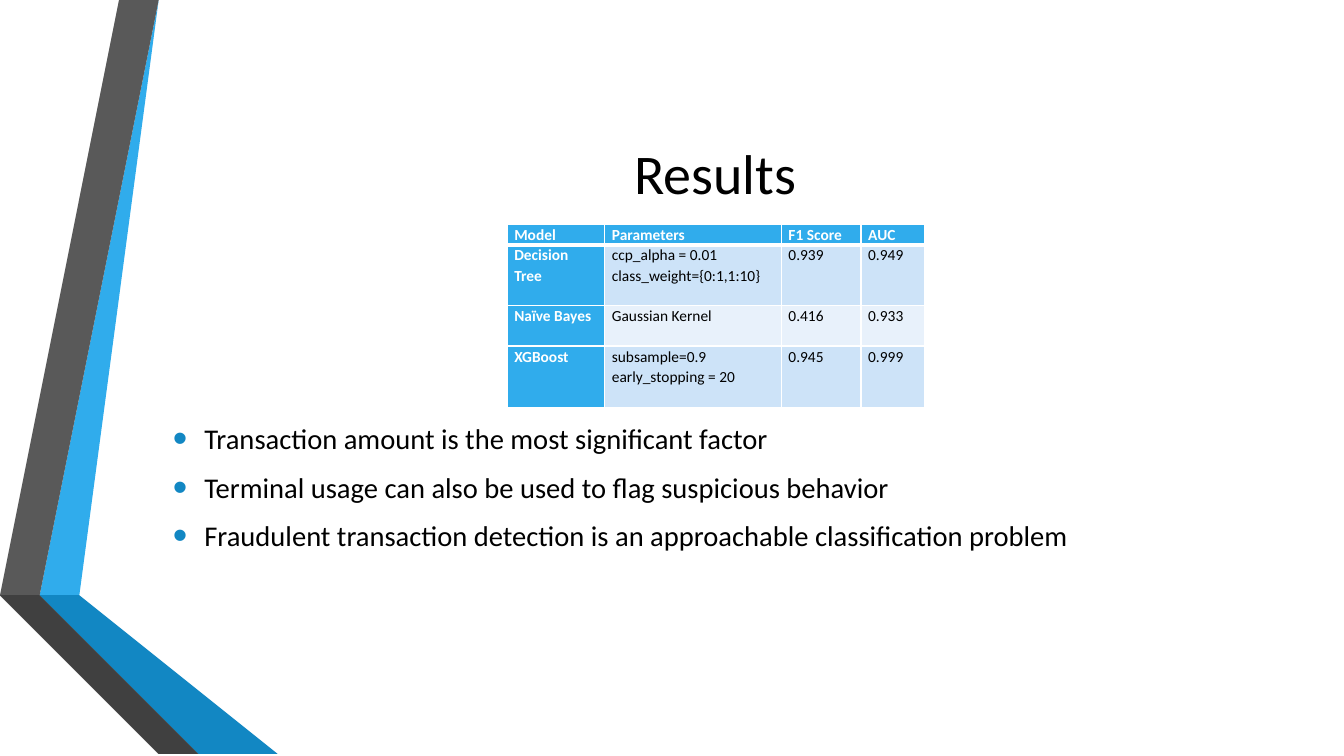
from collections import namedtuple

from lxml import etree
from pptx import Presentation
from pptx import util as u
from pptx.dml.color import RGBColor
from pptx.enum import text
from pptx.oxml import ns

Box = namedtuple("Box", "left top width height")

COLORS = {
    "white": "FFFFFF", "black": "000000", "sky": "30ACEC", "blue": "1287C3",
    "navy": "0C5A82", "gray": "595959", "charcoal": "404040", "coal": "262626",
    "band": "CDE3F8", "pale": "E8F1FB",
}

RIBBONS = [
    ("sky", [(1.27, 14.68), (1.96, 14.81), (4.39, 0), (3.68, 0)]),
    ("gray", [(3.53, 0), (2.82, 0), (0.41, 14.55), (1.12, 14.66)]),
    ("coal", [(0.41, 14.55), (3.68, 19.05), (3.84, 19.05)]),
    ("navy", [(1.27, 14.71), (5.28, 19.05), (5.44, 19.05)]),
    ("blue", [(1.27, 14.68), (5.44, 19.05), (7.19, 19.05), (1.96, 14.81)]),
    ("charcoal", [(5.13, 19.05), (1.12, 14.66), (0.41, 14.55), (3.84, 19.05)]),
]

RESULTS = [
    ["Model", "Parameters", "F1 Score", "AUC"],
    ["Decision Tree", "ccp_alpha = 0.01\nclass_weight={0:1,1:10}", "0.939", "0.949"],
    ["Naïve Bayes", "Gaussian Kernel", "0.416", "0.933"],
    ["XGBoost", "subsample=0.9\nearly_stopping = 20", "0.945", "0.999"],
]
COLUMN_WIDTHS = [2.46, 4.45, 2.01, 1.6]
ROW_HEIGHTS = [0.51, 1.53, 1.02, 1.54]

FINDINGS = [
    "Transaction amount is the most significant factor",
    "Terminal usage can also be used to flag suspicious behavior",
    "Fraudulent transaction detection is an approachable classification problem",
]


def rgb(name):
    """Return the named colour."""
    return RGBColor.from_string(COLORS[name])


def add_color(parent, tag, name):
    """Append an element that holds the named colour."""
    holder = etree.SubElement(parent, ns.qn(tag))
    etree.SubElement(holder, ns.qn("a:srgbClr"), val=COLORS[name])


def write_text(frame, content, size, color="black", bold=False, align=None,
               spacing=None, before=0, after=0):
    """Write one paragraph for each line of content."""
    frame.word_wrap = True
    for index, line in enumerate(content.split("\n")):
        para = frame.add_paragraph() if index else frame.paragraphs[0]
        para.alignment = align
        para.line_spacing = spacing
        para.space_before, para.space_after = u.Pt(before), u.Pt(after)
        span = para.add_run()
        span.text = line
        span.font.name, span.font.size, span.font.bold = "Calibri", u.Pt(size), bold
        span.font.color.rgb = rgb(color)


def add_text_box(page, box, content, **style):
    """Add a vertically centred text box and return its frame."""
    frame = page.shapes.add_textbox(*map(u.Cm, box)).text_frame
    frame.vertical_anchor = text.MSO_ANCHOR.MIDDLE
    write_text(frame, content, **style)
    return frame


def add_bullets(frame, color, percent, indent):
    """Give every paragraph a coloured bullet with a hanging indent."""
    for para in frame.paragraphs:
        props = para._p.get_or_add_pPr()
        props.set("marL", str(u.Cm(indent)))
        props.set("indent", str(-u.Cm(indent)))
        add_color(props, "a:buClr", color)
        etree.SubElement(props, ns.qn("a:buSzPct"), val=str(percent * 1000))
        etree.SubElement(props, ns.qn("a:buFont"), typeface="Arial")
        etree.SubElement(props, ns.qn("a:buChar"), char="•")


def add_borders(cell, **widths):
    """Draw white cell borders with the given widths in points."""
    props = cell._tc.get_or_add_tcPr()
    for side, width in widths.items():
        line = etree.SubElement(props, ns.qn("a:ln" + side), w=str(u.Pt(width)))
        add_color(line, "a:solidFill", "white")


def draw_ribbons(page, box):
    """Draw the folded ribbons along the left edge of the box."""
    for color, points in RIBBONS:
        corners = [(box.left + x, box.top + y) for x, y in points]
        builder = page.shapes.build_freeform(*corners[0], scale=u.Cm(1))
        builder.add_line_segments(corners[1:], close=True)
        ribbon = builder.convert_to_shape()
        ribbon.shadow.inherit = False
        ribbon.fill.solid()
        ribbon.fill.fore_color.rgb = rgb(color)
        ribbon.line.fill.background()


def draw_results(page, box):
    """Draw the table of model scores in the box."""
    table = page.shapes.add_table(len(RESULTS), len(RESULTS[0]), *map(u.Cm, box)).table
    table.first_col = True
    for column, width in zip(table.columns, COLUMN_WIDTHS):
        column.width = u.Cm(width)
    for row, height in zip(table.rows, ROW_HEIGHTS):
        row.height = u.Cm(height)
    for r, values in enumerate(RESULTS):
        for c, value in enumerate(values):
            cell = table.cell(r, c)
            heading = r == 0 or c == 0
            cell.margin_left = cell.margin_right = u.Cm(0.18)
            cell.margin_top = cell.margin_bottom = 0
            write_text(cell.text_frame, value, size=11, bold=heading, spacing=1.07,
                       color="white" if heading else "black")
            add_borders(cell, L=1, R=1, T=3 if r == 1 else 1, B=3 if r == 0 else 1)
            cell.fill.solid()
            cell.fill.fore_color.rgb = rgb(
                "sky" if heading else "band" if r % 2 else "pale")


def draw_findings(page, box):
    """Draw the bulleted findings in the box."""
    frame = add_text_box(page, box, "\n".join(FINDINGS), size=20.4, before=4, after=6)
    add_bullets(frame, "blue", percent=145, indent=0.79)


def draw_results_slide(page, box):
    """Place ribbons, title, table and findings in the box."""
    left, width = box.left + 4.11, 27.84
    draw_ribbons(page, box)
    add_text_box(page, Box(left, box.top + 1.9, width, 4.88), "Results",
                 size=40, align=text.PP_ALIGN.CENTER)
    draw_results(page, Box(box.left + 12.78, box.top + 5.66,
                           sum(COLUMN_WIDTHS), sum(ROW_HEIGHTS)))
    draw_findings(page, Box(left, box.top + 10.64, width, 3.25))


def main():
    """Build and save the deck."""
    deck = Presentation()
    box = Box(0, 0, 33.87, 19.05)
    deck.slide_width, deck.slide_height = u.Cm(box.width), u.Cm(box.height)
    page = deck.slides.add_slide(deck.slide_layouts[6])
    draw_results_slide(page, box)
    deck.save("out.pptx")


if __name__ == "__main__":
    main()
